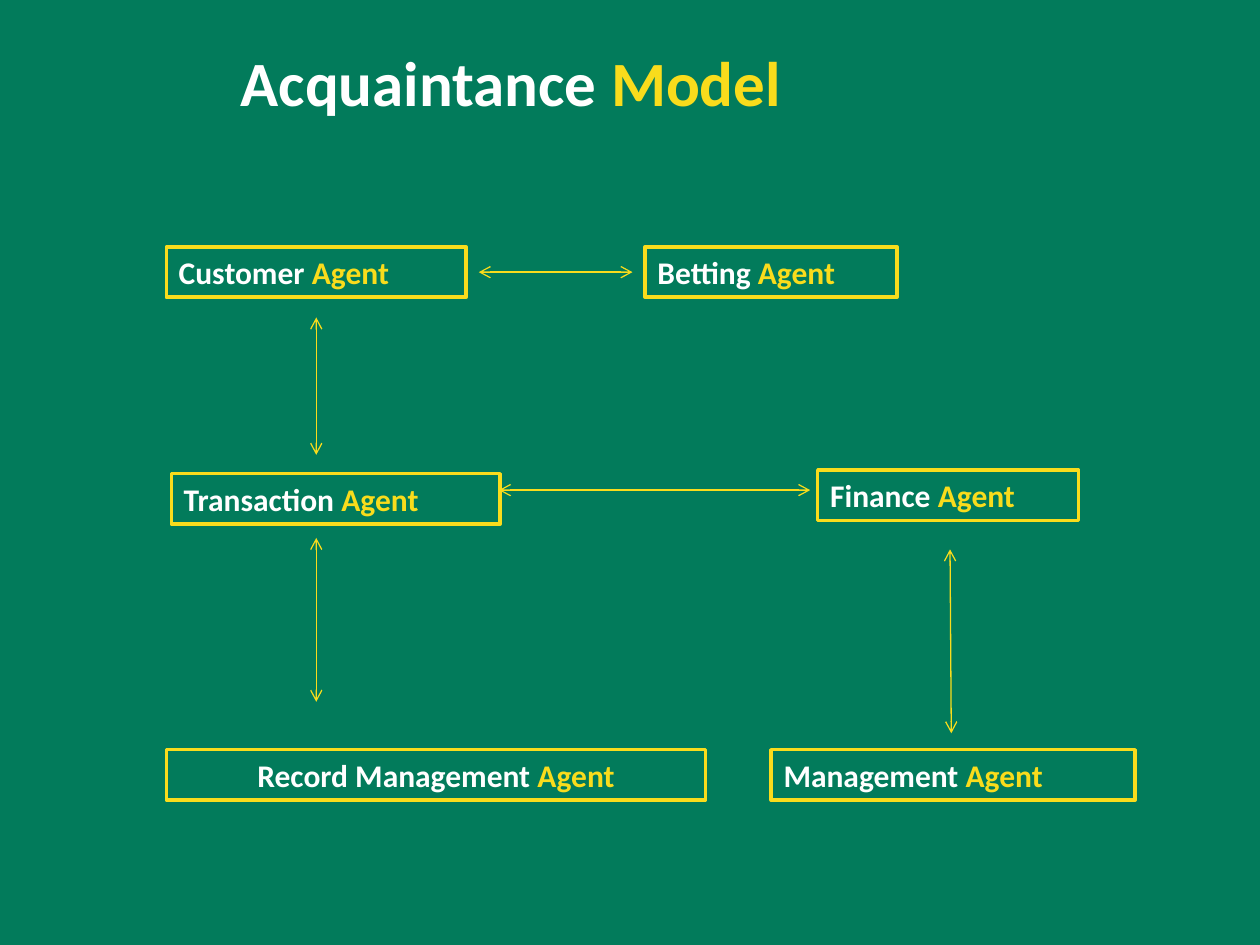
from lxml.etree import SubElement
from pptx import Presentation
from pptx.dml.color import RGBColor
from pptx.enum.shapes import MSO_CONNECTOR, MSO_SHAPE
from pptx.enum.text import MSO_ANCHOR, PP_ALIGN
from pptx.oxml.ns import qn
from pptx.util import Inches, Pt

GREEN, YELLOW, WHITE = "027B5B", "F9DC1C", "FFFFFF"
BOX_HEIGHT = 0.4

TITLE = ("Acquaintance ", "Model")
# name, left, top, width, alignment
AGENTS = [
    ("Customer ", 1.32, 1.96, 2.38, PP_ALIGN.LEFT),
    ("Betting ", 5.12, 1.96, 2.0, PP_ALIGN.LEFT),
    ("Transaction ", 1.36, 3.76, 2.61, PP_ALIGN.LEFT),
    ("Finance ", 6.49, 3.73, 2.07, PP_ALIGN.LEFT),
    ("Record Management ", 1.32, 5.95, 4.28, PP_ALIGN.CENTER),
    ("Management ", 6.12, 5.95, 2.89, PP_ALIGN.LEFT),
]
# start x, start y, end x, end y
ARROWS = [
    (3.8, 2.16, 5.02, 2.16),
    (2.51, 2.52, 2.51, 3.61),
    (3.96, 3.89, 6.43, 3.89),
    (2.51, 5.57, 2.51, 4.27),
    (7.55, 5.82, 7.54, 4.36),
]


def color(hex_value):
    return RGBColor.from_string(hex_value)


def write_two_tone(shape, parts, size, alignment):
    """Write a white part followed by a yellow part on one line."""
    frame = shape.text_frame
    frame.word_wrap = True
    frame.vertical_anchor = MSO_ANCHOR.MIDDLE
    paragraph = frame.paragraphs[0]
    paragraph.alignment = alignment
    paragraph.font.name = "Calibri"
    paragraph.font.size = Pt(size)
    paragraph.font.bold = True
    for text, hex_value in zip(parts, (WHITE, YELLOW)):
        run = paragraph.add_run()
        run.text = text
        run.font.color.rgb = color(hex_value)


def add_agent(slide, name, left, top, width, alignment):
    box = slide.shapes.add_shape(
        MSO_SHAPE.RECTANGLE, Inches(left), Inches(top), Inches(width), Inches(BOX_HEIGHT))
    box.shadow.inherit = False
    box.fill.background()
    box.line.color.rgb = color(YELLOW)
    box.line.width = Pt(2)
    write_two_tone(box, (name, "Agent"), 18, alignment)


def add_double_arrow(slide, *ends):
    arrow = slide.shapes.add_connector(MSO_CONNECTOR.STRAIGHT, *map(Inches, ends))
    arrow.line.color.rgb = color(YELLOW)
    arrow.line.width = Pt(0.75)
    line = arrow.line._get_or_add_ln()
    for end in ("a:headEnd", "a:tailEnd"):
        SubElement(line, qn(end), type="arrow")
    SubElement(arrow._element.spPr, qn("a:effectLst"))


def main():
    presentation = Presentation()
    presentation.slide_width, presentation.slide_height = Inches(10), Inches(7.5)
    slide = presentation.slides.add_slide(presentation.slide_layouts[5])
    slide.background.fill.solid()
    slide.background.fill.fore_color.rgb = color(GREEN)

    title = slide.shapes.title
    title.left, title.top = Inches(1.81), Inches(0.29)
    title.width, title.height = Inches(5.62), Inches(0.71)
    write_two_tone(title, TITLE, 36, PP_ALIGN.LEFT)

    for agent in AGENTS:
        add_agent(slide, *agent)
    for ends in ARROWS:
        add_double_arrow(slide, *ends)
    presentation.save("out.pptx")


if __name__ == "__main__":
    main()
